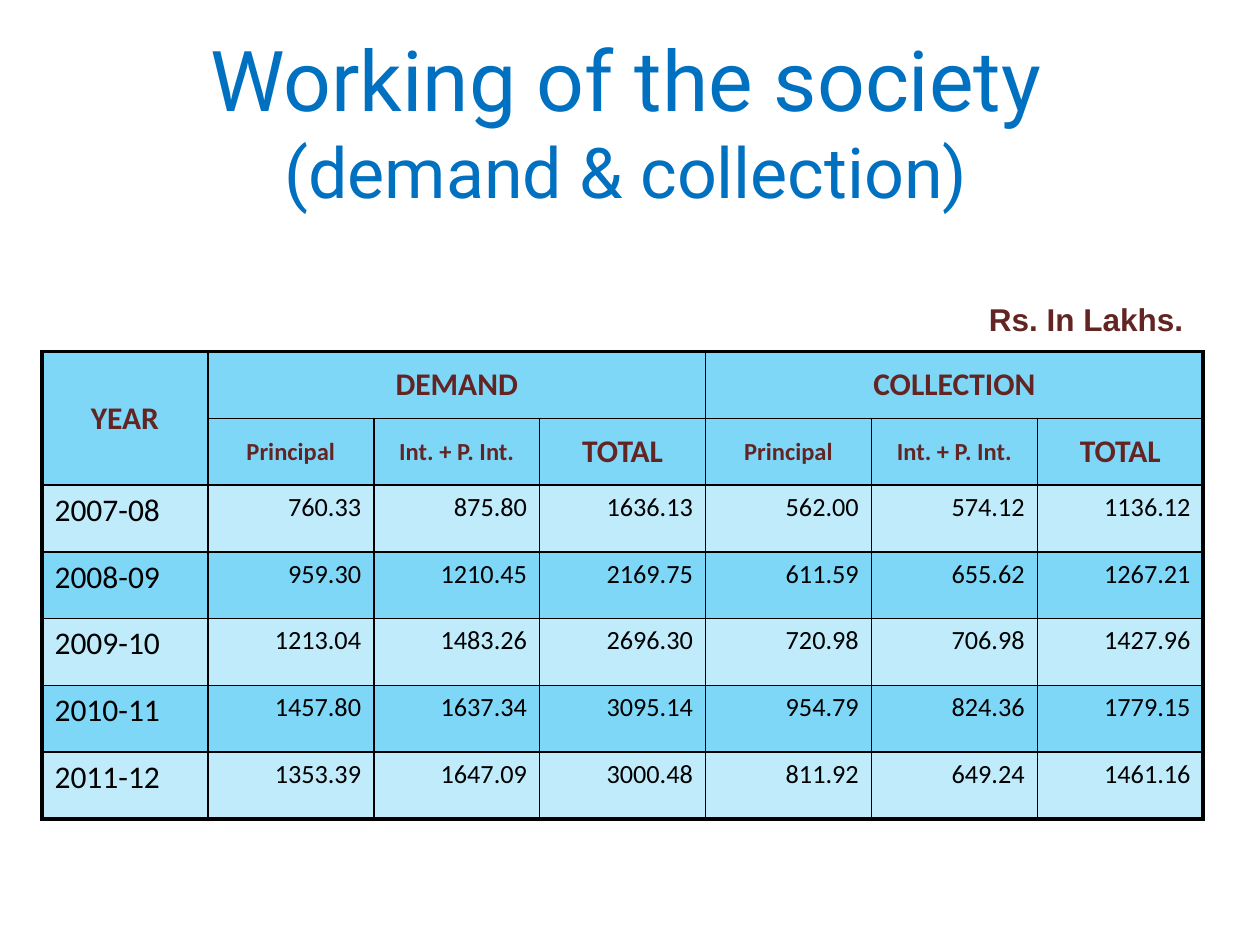
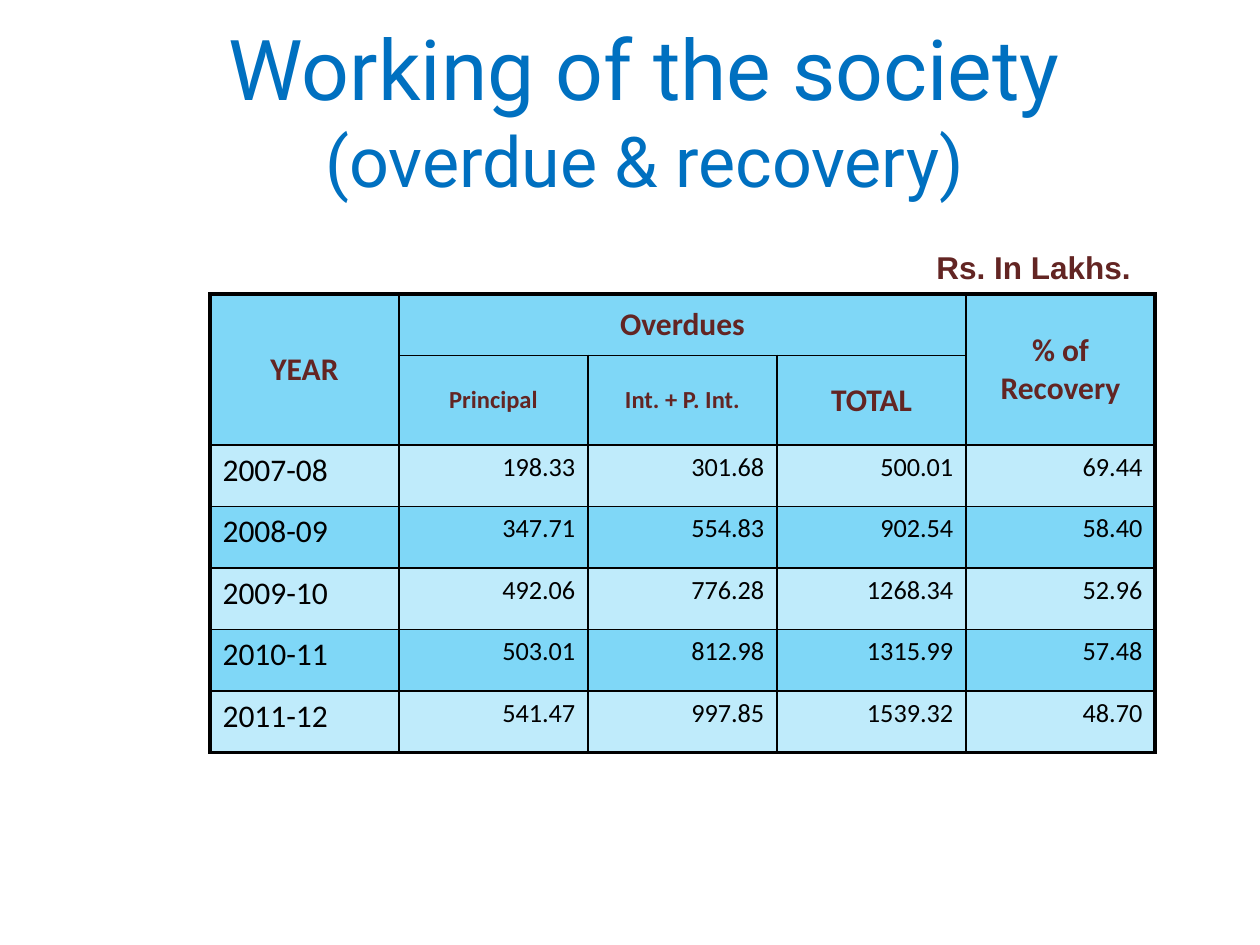
import collections

import lxml.etree
import pptx
import pptx.dml.color
import pptx.enum.text
import pptx.oxml.ns
import pptx.util

COLUMNS, ROWS = 120, 90
BLUE, MAROON, BLACK, SKY = "0070C0", "632523", "000000", "00B0F0"
DARK_SHARE, LIGHT_SHARE = 50, 25
FRAME_WIDTH, RULE_WIDTH = 2.25, 1
NO_STYLE = "{2D5ABB26-0587-4C30-8999-92F81FD0307C}"
ALIGN = pptx.enum.text.PP_ALIGN
ANCHOR = pptx.enum.text.MSO_ANCHOR
AMOUNTS = ["Principal", "Int. + P. Int.", "TOTAL"]
YEARS = ["2007-08", "2008-09", "2009-10", "2010-11", "2011-12"]

Box = collections.namedtuple("Box", "column row columns rows")

prs = pptx.Presentation()
prs.slide_width = pptx.util.Inches(10)
prs.slide_height = pptx.util.Inches(7.5)


def color(value):
    return pptx.dml.color.RGBColor.from_string(value)


def place(box):
    across, down = prs.slide_width / COLUMNS, prs.slide_height / ROWS
    return [int(share) for share in
            (box.column * across, box.row * down, box.columns * across, box.rows * down)]


def write(paragraph, text, size=18, font="Calibri", ink=BLACK, bold=False, align=ALIGN.LEFT):
    paragraph.alignment = align
    run = paragraph.add_run()
    run.text = text
    run.font.size = pptx.util.Pt(size)
    run.font.name = font
    run.font.bold = bold
    run.font.color.rgb = color(ink)


def add_title(slide, box, subtitle):
    title = slide.shapes.title
    title.left, title.top, title.width, title.height = place(box)
    frame = title.text_frame
    frame.auto_size = pptx.enum.text.MSO_AUTO_SIZE.NONE
    frame.vertical_anchor = ANCHOR.TOP
    look = dict(font="Roboto", ink=BLUE, align=ALIGN.CENTER)
    write(frame.paragraphs[0], "Working of the society", size=48, **look)
    write(frame.add_paragraph(), subtitle, size=40, **look)


def add_unit(slide, box):
    frame = slide.shapes.add_textbox(*place(box)).text_frame
    frame.word_wrap = False
    write(frame.paragraphs[0], "Rs. In Lakhs.", font="Arial", ink=MAROON, bold=True)


def tint(cell, share):
    cell.fill.solid()
    cell.fill.fore_color.rgb = color(SKY)
    swatch = cell._tc.tcPr.find(".//" + pptx.oxml.ns.qn("a:srgbClr"))
    alpha = lxml.etree.SubElement(swatch, pptx.oxml.ns.qn("a:alpha"))
    alpha.set("val", str(share * 1000))


def rule(cell, outer_sides):
    drawn = [side for side in "LRTB" if side in outer_sides or not cell.is_spanned]
    for position, side in enumerate(drawn):
        width = FRAME_WIDTH if side in outer_sides else RULE_WIDTH
        line = pptx.oxml.parse_xml(
            f'<a:ln{side} {pptx.oxml.ns.nsdecls("a")} w="{pptx.util.Pt(width)}">'
            f'<a:solidFill><a:srgbClr val="{BLACK}"/></a:solidFill></a:ln{side}>')
        cell._tc.tcPr.insert(position, line)


def write_heading(cell, text):
    cell.vertical_anchor = ANCHOR.MIDDLE
    size = 14 if text in AMOUNTS[:2] else 18
    write(cell.text_frame.paragraphs[0], text, size=size, ink=MAROON, bold=True,
          align=ALIGN.CENTER)


def fill_header(table, groups):
    column = 0
    for heading, parts in groups:
        last = column + max(len(parts), 1) - 1
        table.cell(0, column).merge(table.cell(0 if parts else 1, last))
        write_heading(table.cell(0, column), heading)
        for offset, part in enumerate(parts):
            write_heading(table.cell(1, column + offset), part)
        column = last + 1


def fill_body(table, figures):
    for row, (year, values) in enumerate(zip(YEARS, figures), start=2):
        write(table.cell(row, 0).text_frame.paragraphs[0], year)
        for column, value in enumerate(values.split(), start=1):
            write(table.cell(row, column).text_frame.paragraphs[0], value, size=15,
                  align=ALIGN.RIGHT)


def style_cells(table):
    last_row, last_column = len(table.rows) - 1, len(table.columns) - 1
    for row in range(last_row + 1):
        for column in range(last_column + 1):
            cell = table.cell(row, column)
            right = column + (cell.span_width if cell.is_merge_origin else 1) - 1
            edges = {"L": column == 0, "R": right == last_column,
                     "T": row == 0, "B": row == last_row}
            light = row > 1 and row % 2 == 0
            tint(cell, LIGHT_SHARE if light else DARK_SHARE)
            rule(cell, [side for side, outer in edges.items() if outer])


def add_figures(slide, box, groups, figures):
    column_count = sum(max(len(parts), 1) for _, parts in groups)
    row_count = len(figures) + 2
    left, top, width, height = place(box)
    table = slide.shapes.add_table(row_count, column_count, left, top, width, height).table
    table.first_row = table.horz_banding = False
    table._tbl.tblPr.find(pptx.oxml.ns.qn("a:tableStyleId")).text = NO_STYLE
    for column in table.columns:
        column.width = width // column_count
    for row in table.rows:
        row.height = height // row_count
    fill_header(table, groups)
    fill_body(table, figures)
    style_cells(table)


def add_working_slide(subtitle, title_box, unit_box, table_box, groups, figures):
    slide = prs.slides.add_slide(prs.slide_layouts[5])
    add_figures(slide, table_box, groups, figures)
    add_unit(slide, unit_box)
    add_title(slide, title_box, subtitle)


def main():
    add_working_slide(
        "(demand & collection)",
        Box(8.25, 2, 102.75, 19), Box(93, 28, 21, 4.8), Box(4, 33.5, 110.6, 44.5),
        [("YEAR", []), ("DEMAND", AMOUNTS), ("COLLECTION", AMOUNTS)],
        ["760.33 875.80 1636.13 562.00 574.12 1136.12",
         "959.30 1210.45 2169.75 611.59 655.62 1267.21",
         "1213.04 1483.26 2696.30 720.98 706.98 1427.96",
         "1457.80 1637.34 3095.14 954.79 824.36 1779.15",
         "1353.39 1647.09 3000.48 811.92 649.24 1461.16"])
    add_working_slide(
        "(overdue & recovery)",
        Box(10, 1, 102.75, 19), Box(88, 23, 21, 4.8), Box(20, 28, 90, 41),
        [("YEAR", []), ("Overdues", AMOUNTS), ("% of Recovery", [])],
        ["198.33 301.68 500.01 69.44",
         "347.71 554.83 902.54 58.40",
         "492.06 776.28 1268.34 52.96",
         "503.01 812.98 1315.99 57.48",
         "541.47 997.85 1539.32 48.70"])
    prs.save("out.pptx")


if __name__ == "__main__":
    main()
